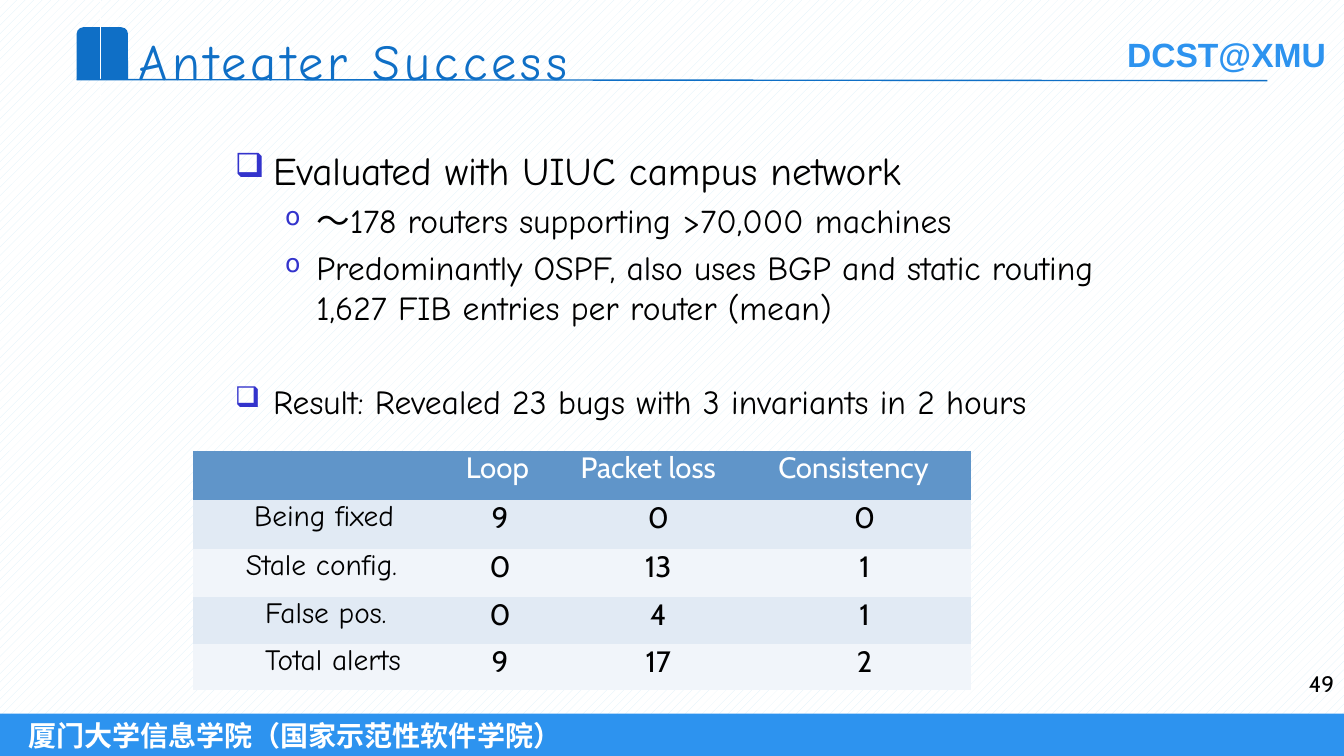
from lxml import etree
from pptx import Presentation
from pptx.dml.color import RGBColor
from pptx.enum.dml import MSO_PATTERN
from pptx.enum.shapes import MSO_CONNECTOR, MSO_SHAPE
from pptx.enum.text import MSO_ANCHOR, PP_ALIGN
from pptx.oxml.ns import qn
from pptx.util import Inches, Pt

LEFT, CENTER, RIGHT = PP_ALIGN.LEFT, PP_ALIGN.CENTER, PP_ALIGN.RIGHT
MIDDLE = MSO_ANCHOR.MIDDLE
RECT, TAB = MSO_SHAPE.RECTANGLE, MSO_SHAPE.ROUND_2_SAME_RECTANGLE
WHITE = RGBColor(0xFF, 0xFF, 0xFF)
BLACK = RGBColor(0, 0, 0)
SKY = RGBColor(0x2D, 0x93, 0xEF)
BLUE = RGBColor(0x0F, 0x6F, 0xC6)
PALE = RGBColor(0xDB, 0xEF, 0xF9)
HEADER = RGBColor(0x60, 0x95, 0xC9)
BANDS = [RGBColor(0xE1, 0xEA, 0xF4), RGBColor(0xF1, 0xF5, 0xFA)]
BULLET = "3333CC"
HAND, SANS, ARIAL = "Comic Neue", "Cabin", "Arial"
NO_STYLE = "{2D5ABB26-0587-4C30-8999-92F81FD0307C}"

TITLE = "Anteater Success"
FOOTER = "厦门大学信息学院（国家示范性软件学院）"
BODY = [
    (0, "Evaluated with UIUC campus network", 28, 0),
    (1, "～178 routers supporting >70,000 machines", 24, 4.8),
    (1, "Predominantly OSPF, also uses BGP and static routing "
        "1,627 FIB entries per router (mean)", 24, 4.8),
    (0, "Result: Revealed 23 bugs with 3 invariants in 2 hours", 24, 38),
]
LEVELS = [(0.38, -0.38, "❑", 85), (0.81, -0.31, "o", 75)]
ROWS = [
    ["", "Loop", "Packet loss", "Consistency"],
    ["Being fixed", "9", "0", "0"],
    ["Stale config.", "0", "13", "1"],
    ["False pos.", "0", "4", "1"],
    ["Total alerts", "9", "17", "2"],
]
COL_WIDTHS = [2.43, 1.19, 1.98, 2.12]
ROW_HEIGHTS = [0.49, 0.49, 0.47, 0.47, 0.46]
HEADER_INDENTS = [0, 0.28, 0.23, 0.21]
LABEL_INDENTS = [0, 0.61, 0.53, 0.72, 0.72]
VALUE_INDENTS = [0, 0.05, 0.02, 0.01]
CAP = [
    [(1.2, 0.59), (1.2, 0.54), (1.24, 0.52), (1.02, 0.4), (0.79, 0.52),
     (0.88, 0.58), (0.88, 0.61), (0.94, 0.63), (1.02, 0.64), (1.09, 0.63),
     (1.15, 0.61), (1.15, 0.57), (1.19, 0.55), (1.19, 0.59), (1.18, 0.6),
     (1.2, 0.61), (1.21, 0.6)],
    [(1.02, 0.63), (0.93, 0.62), (0.9, 0.61), (0.93, 0.6), (1.02, 0.59),
     (1.11, 0.6), (1.14, 0.61), (1.11, 0.62)],
    [(1.15, 0.55), (1.1, 0.53), (1.02, 0.52), (0.93, 0.53), (0.88, 0.55),
     (0.88, 0.54), (0.94, 0.51), (1.02, 0.5), (1.1, 0.51), (1.15, 0.54)],
    [(1.19, 0.61), (1.18, 0.68), (1.21, 0.67), (1.21, 0.61)],
]

prs = Presentation()
prs.slide_width, prs.slide_height = Inches(13.33), Inches(7.5)
s = prs.slides.add_slide(prs.slide_layouts[6])


def add_block(kind, x, y, w, h, color):
    sp = s.shapes.add_shape(kind, Inches(x), Inches(y), Inches(w), Inches(h))
    sp.shadow.inherit = False
    sp.line.fill.background()
    sp.fill.solid()
    sp.fill.fore_color.rgb = color
    return sp


def add_run(p, text, size, font, color, bold=False):
    r = p.add_run()
    r.text = text
    r.font.size, r.font.name, r.font.bold = Pt(size), font, bold
    r.font.color.rgb = color
    return r


def add_box(x, y, w, h, wrap=True):
    tf = s.shapes.add_textbox(Inches(x), Inches(y), Inches(w), Inches(h)).text_frame
    tf.word_wrap = wrap
    return tf


def set_bullet(p, left, indent, char, percent):
    pPr = p._p.get_or_add_pPr()
    pPr.set("marL", str(Inches(left)))
    pPr.set("indent", str(Inches(indent)))
    color = etree.SubElement(pPr, qn("a:buClr"))
    etree.SubElement(color, qn("a:srgbClr"), val=BULLET)
    etree.SubElement(pPr, qn("a:buSzPct"), val=str(percent * 1000))
    etree.SubElement(pPr, qn("a:buChar"), char=char)


backdrop = add_block(RECT, 0, 0, 13.33, 7.5, WHITE)
backdrop.fill.patterned()
backdrop.fill.pattern = MSO_PATTERN.PERCENT_20
backdrop.fill.fore_color.rgb = PALE
backdrop.fill.back_color.rgb = WHITE

footer = add_block(RECT, 0, 7.08, 13.33, 0.42, SKY).text_frame
footer.vertical_anchor = MIDDLE
footer.margin_left = Inches(0.28)
footer.paragraphs[0].alignment = LEFT
add_run(footer.paragraphs[0], FOOTER, 20, ARIAL, WHITE, True)

add_run(add_box(11.08, 0.29, 2.2, 0.5, False).paragraphs[0],
        "DCST@XMU", 24, ARIAL, SKY, True)

badge = add_block(TAB, 0.76, 0.27, 0.51, 0.52, BLUE)
badge.adjustments[0] = 0.13
builder = s.shapes.build_freeform(*CAP[0][0], scale=Inches(1))
builder.add_line_segments(CAP[0][1:])
for contour in CAP[1:]:
    builder.move_to(*contour[0])
    builder.add_line_segments(contour[1:])
cap = builder.convert_to_shape()
cap.shadow.inherit = False
cap.fill.solid()
cap.fill.fore_color.rgb = WHITE
cap.line.color.rgb = WHITE
cap.line.width = Pt(0.75)

rule = s.shapes.add_connector(MSO_CONNECTOR.STRAIGHT, Inches(0.76), Inches(0.79),
                              Inches(12.57), Inches(0.8))
rule.line.color.rgb = BLUE
rule.line.width = Pt(1)
etree.SubElement(rule._element.spPr, qn("a:effectLst"))

title = add_run(add_box(1.28, 0.25, 9.96, 1.15).paragraphs[0], TITLE, 36, HAND, BLUE)
title._r.get_or_add_rPr().set("spc", "300")

number = add_box(12.56, 6.6, 0.77, 0.5).paragraphs[0]
number.alignment = RIGHT
add_run(number, "49", 16, SANS, BLACK)

frame = s.shapes.add_table(len(ROWS), len(COL_WIDTHS), Inches(1.91), Inches(4.47),
                           Inches(sum(COL_WIDTHS)), Inches(sum(ROW_HEIGHTS)))
table = frame.table
table.first_row = table.horz_banding = False
table._tbl.tblPr.find(qn("a:tableStyleId")).text = NO_STYLE
for column, width in zip(table.columns, COL_WIDTHS):
    column.width = Inches(width)
for i, (row, height) in enumerate(zip(ROWS, ROW_HEIGHTS)):
    table.rows[i].height = Inches(height)
    for j, text in enumerate(row):
        cell = table.cell(i, j)
        cell.fill.solid()
        cell.fill.fore_color.rgb = BANDS[(i - 1) % 2] if i else HEADER
        cell.margin_right = cell.margin_top = cell.margin_bottom = 0
        indent = (HEADER_INDENTS[j] if i == 0 else
                  VALUE_INDENTS[j] if j else LABEL_INDENTS[i])
        cell.margin_left = Inches(indent)
        p = cell.text_frame.paragraphs[0]
        p.alignment = CENTER if i and j else LEFT
        if text:
            add_run(p, text, 21, HAND if j == 0 else SANS, BLACK if i else WHITE)

tf = add_box(2.23, 1.4, 8.92, 5.09)
for i, (level, text, size, before) in enumerate(BODY):
    p = tf.add_paragraph() if i else tf.paragraphs[0]
    p.level = level
    if before:
        p.space_before = Pt(before)
    set_bullet(p, *LEVELS[level])
    add_run(p, text, size, HAND, BLACK)

prs.save("out.pptx")
